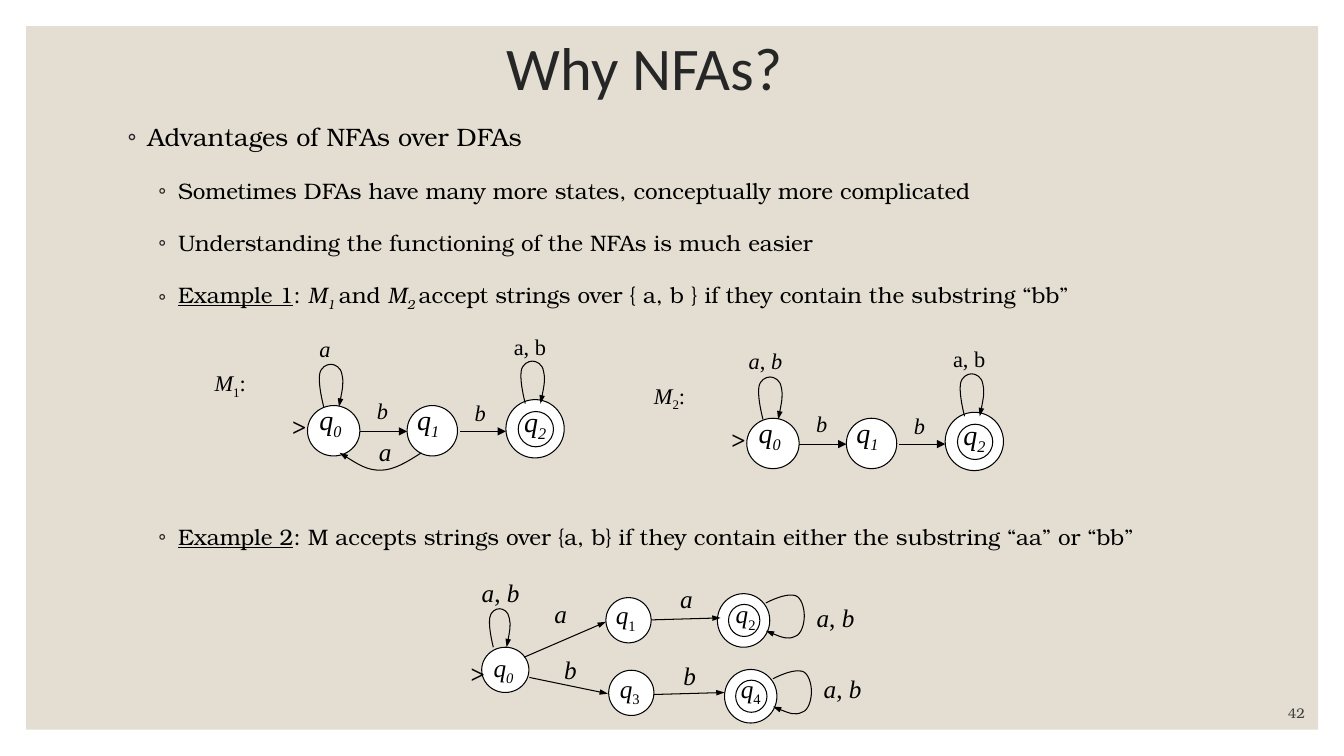
import dataclasses

import pptx
import pptx.dml.color
import pptx.enum.shapes
import pptx.enum.text
import pptx.oxml
import pptx.oxml.ns
import pptx.util
from pptx.util import Cm


@dataclasses.dataclass(frozen=True)
class Theme:
    panel: str = "E3DED1"
    white: str = "FFFFFF"
    ink: str = "000000"
    dark: str = "262626"
    grey: str = "404040"
    head: str = "Calibri"
    body: str = "TeX Gyre Bonum"
    math: str = "Times New Roman"
    title: float = 43.2
    state: int = 20
    large: int = 18
    small: int = 16
    page: int = 10
    line: float = 0.75


THEME = Theme()
SHAPE = pptx.enum.shapes.MSO_SHAPE
ALIGN = pptx.enum.text.PP_ALIGN
ANCHOR = pptx.enum.text.MSO_ANCHOR
BOTH = [("a", "i"), (", ", ""), ("b", "i")]
# Self-loop in a unit box: start, then three points for each curve
LOOP = [(0.2, 1), (0.08, 0.71), (0, 0.43), (0.04, 0.24), (0.08, 0.07),
        (0.32, 0), (0.48, 0), (0.64, 0), (0.88, 0.07), (0.92, 0.24),
        (1, 0.43), (0.9, 0.71), (0.8, 1)]


def rgb(code):
    return pptx.dml.color.RGBColor.from_string(code)


def element(parent, tag, **attrs):
    node = pptx.oxml.parse_xml(f"<a:{tag} {pptx.oxml.ns.nsdecls('a')}/>")
    for key, value in attrs.items():
        node.set(key, value)
    parent.append(node)
    return node


# Text: each run is (words, marks), marks being i, b, u or s (subscript)
def add_runs(par, runs, size, face, color):
    for words, marks in runs:
        run = par.add_run()
        run.text = words
        font = run.font
        font.size, font.name = pptx.util.Pt(size), face
        font.color.rgb = rgb(color)
        if "i" in marks:
            font.italic = True
        if "b" in marks:
            font.bold = True
        if "u" in marks:
            font.underline = True
        if "s" in marks:
            run._r.get_or_add_rPr().set("baseline", "-25000")


def add_frame(shapes, x, y, w, h, wrap=True):
    frame = shapes.add_textbox(Cm(x), Cm(y), Cm(w), Cm(h)).text_frame
    frame.word_wrap = wrap
    return frame


def add_label(shapes, x, y, w, runs, size=THEME.small, h=1.02, wrap=True):
    frame = add_frame(shapes, x, y, w, h, wrap)
    add_runs(frame.paragraphs[0], runs, size, THEME.math, THEME.ink)


def add_start(shapes, x, y):
    add_label(shapes, x, y, 0.89, [(">", "b")], THEME.large, wrap=False)


def add_bullet(par, runs, size, left, before):
    par.space_before = pptx.util.Pt(before)
    props = par._p.get_or_add_pPr()
    props.set("marL", str(Cm(left)))
    props.set("indent", str(Cm(-0.5)))
    element(element(props, "buClr"), "srgbClr", val=THEME.dark)
    element(props, "buFont", typeface=THEME.head)
    element(props, "buChar", char="◦")
    add_runs(par, runs, size, THEME.body, THEME.ink)


# Diagram parts
def set_line(shape, head=None):
    shape.line.color.rgb = rgb(THEME.ink)
    shape.line.width = pptx.util.Pt(THEME.line)
    if head:
        element(shape.line._get_or_add_ln(), "tailEnd", type="triangle", w=head, len="med")


def add_circle(shapes, x, y, w, h):
    disc = shapes.add_shape(SHAPE.OVAL, Cm(x), Cm(y), Cm(w), Cm(h))
    disc.shadow.inherit = False
    disc.fill.solid()
    disc.fill.fore_color.rgb = rgb(THEME.white)
    set_line(disc)


def add_arrow(shapes, x1, y1, x2, y2, head="med"):
    kind = pptx.enum.shapes.MSO_CONNECTOR.STRAIGHT
    arrow = shapes.add_connector(kind, Cm(x1), Cm(y1), Cm(x2), Cm(y2))
    set_line(arrow, head)
    element(arrow._element.spPr, "effectLst")


def add_curve(shapes, points):
    dots = [(Cm(x), Cm(y)) for x, y in points]
    form = shapes.build_freeform(*dots[0])
    form.add_line_segments(dots[1:], close=False)
    curve = form.convert_to_shape()
    # Turn every three line steps into one Bézier curve
    steps = list(curve._element.iter(pptx.oxml.ns.qn("a:lnTo")))
    outline = steps[0].getparent()
    for n in range(0, len(steps), 3):
        bend = element(outline, "cubicBezTo")
        for step in steps[n:n + 3]:
            bend.append(step[0])
            outline.remove(step)
    curve.shadow.inherit = False
    curve.fill.background()
    set_line(curve, "sm")


def add_loop(shapes, x, y, w, h, side=False):
    unit = [(1 - v, u) for u, v in LOOP] if side else LOOP
    add_curve(shapes, [(x + u * w, y + v * h) for u, v in unit])


# Example 1: a row of three states with its top left at (x, y)
def add_row(shapes, x, y, name, loop, shift, back):
    add_circle(shapes, x, y, 1.32, 1.27)
    add_circle(shapes, x + 2.51, y, 1.27, 1.27)
    add_circle(shapes, x + 5, y - 0.15, 1.47, 1.47)
    add_circle(shapes, x + 5.31, y + 0.15, 0.89, 0.89)
    for dx, dy in ((0.28, -1.04), (5.36, -1.12)):
        add_loop(shapes, x + dx, y + dy, 0.64, 1.07)
    for left, right in ((1.32, 2.51), (3.84, 5)):
        add_arrow(shapes, x + left, y + 0.65, x + right, y + 0.65)
    for n, (dx, dy) in enumerate(((0.05, -0.2), (2.51, -0.2), (5.21, -0.15))):
        add_label(shapes, x + dx, y + dy, 1.47, [("q", "i"), (str(n), "is")],
                  THEME.state, 1.09)
    for dx, dy in ((1.5, -0.33), (3.96, -0.28)):
        add_label(shapes, x + dx, y + dy, 0.84, [("b", "i")])
    add_label(shapes, x + shift, y - 1.91, 1.45, loop)
    add_label(shapes, x + 4.95, y - 1.96, 1.4, [("a, b", "")])
    add_label(shapes, x - 2.59, y - 1.04, 2.34, [("M", "i"), (name, "s"), (":", "")])
    add_start(shapes, x - 0.64, y + 0.03)
    if back:
        arc = [(2.87, 1.19), (2.51, 1.42), (2.18, 1.63), (1.83, 1.63),
               (1.5, 1.63), (1.17, 1.42), (0.81, 1.19)]
        add_curve(shapes, [(x + dx, y + dy) for dx, dy in arc])
        add_label(shapes, x + 1.55, y + 0.66, 0.76, [("a", "i")], THEME.large)


# Example 2: two branches out of one start state
def add_fork(shapes):
    add_circle(shapes, 12.14, 16.31, 1.19, 1.14)
    add_loop(shapes, 12.32, 15.34, 0.56, 0.97)
    add_label(shapes, 12.19, 16.31, 1.32, [("q", "i"), ("0", "is")], THEME.large)
    for x, y, dy in ((18.08, 14.96, 0.1), (18.26, 16.87, -0.03)):
        add_circle(shapes, x, y, 1.32, 1.35)
        add_circle(shapes, x + 0.28, y + 0.27, 0.79, 0.81)
        add_loop(shapes, x + 1.22, y, 0.97, 1.17, side=True)
        add_label(shapes, x + 2.25, y + dy, 1.6, BOTH, THEME.large)
    for x, y in ((15.27, 15.06), (15.34, 16.89)):
        add_circle(shapes, x, y, 1.14, 1.14)
    for ends in ((13.21, 16.56, 15.27, 15.67), (13.34, 17.07, 15.32, 17.48),
                 (16.41, 15.62, 18.16, 15.57), (16.48, 17.5, 18.26, 17.45)):
        add_arrow(shapes, *ends, head="sm")
    for n, x, y in (("1", 15.27, 14.99), ("2", 18.29, 14.96),
                    ("3", 15.37, 16.84), ("4", 18.42, 16.84)):
        add_label(shapes, x, y, 1.32, [("q", "i"), (n, "s")], THEME.large)
    for sign, x, y in (("a", 13.72, 14.96), ("a", 16.89, 14.58),
                       ("b", 13.97, 16.36), ("b", 16.97, 16.51)):
        add_label(shapes, x, y, 0.8, [(sign, "i")], THEME.large)
    add_label(shapes, 11.89, 14.43, 1.6, BOTH, THEME.large)
    add_start(shapes, 11.61, 16.46)


def add_body(shapes):
    items = [
        ([("Advantages of NFAs over DFAs", "")], THEME.large, 0.5, 0),
        ([("Sometimes DFAs have many more states, conceptually more complicated", "")],
         THEME.small, 1.27, 18),
        ([("Understanding the functioning of the NFAs is much easier", "")],
         THEME.small, 1.27, 18),
        ([("Example 1", "u"), (": ", ""), ("M", "i"), ("1 ", "is"), ("and ", ""),
          ("M", "i"), ("2 ", "is"),
          ("accept strings over { a, b } if they contain the substring “bb”", "")],
         THEME.small, 1.27, 18),
        ([("Example 2", "u"),
          (": M accepts strings over {a, b} if they contain either the substring"
           " “aa” or “bb”", "")], THEME.small, 1.27, 151),
    ]
    frame = add_frame(shapes, 2.97, 2.94, 27.94, 11.3)
    for n, item in enumerate(items):
        add_bullet(frame.add_paragraph() if n else frame.paragraphs[0], *item)


def main():
    deck = pptx.Presentation()
    deck.slide_width, deck.slide_height = Cm(33.87), Cm(19.05)
    shapes = deck.slides.add_slide(deck.slide_layouts[6]).shapes

    # Panel and title
    panel = shapes.add_shape(SHAPE.RECTANGLE, Cm(0.66), Cm(0.66), Cm(32.56), Cm(17.73))
    panel.shadow.inherit = False
    panel.fill.solid()
    panel.fill.fore_color.rgb = rgb(THEME.panel)
    panel.line.fill.background()
    title = add_frame(shapes, 12.52, 0.81, 8.76, 1.96)
    title.vertical_anchor = ANCHOR.MIDDLE
    title.paragraphs[0].line_spacing = 0.9
    add_runs(title.paragraphs[0], [("Why NFAs?", "")], THEME.title, THEME.head, THEME.dark)

    # Bullets and state diagrams
    add_body(shapes)
    add_row(shapes.add_group_shape().shapes, 7.75, 10.22, "1", [("a", "i")], 0.05, True)
    add_row(shapes.add_group_shape().shapes, 18.82, 10.54, "2", BOTH, -0.2, False)
    add_fork(shapes.add_group_shape().shapes)

    # Page number
    page = add_frame(shapes, 29.08, 17.53, 4.06, 0.76)
    page.vertical_anchor = ANCHOR.BOTTOM
    page.paragraphs[0].alignment = ALIGN.RIGHT
    add_runs(page.paragraphs[0], [("42", "")], THEME.page, THEME.body, THEME.grey)
    deck.save("out.pptx")


if __name__ == "__main__":
    main()
